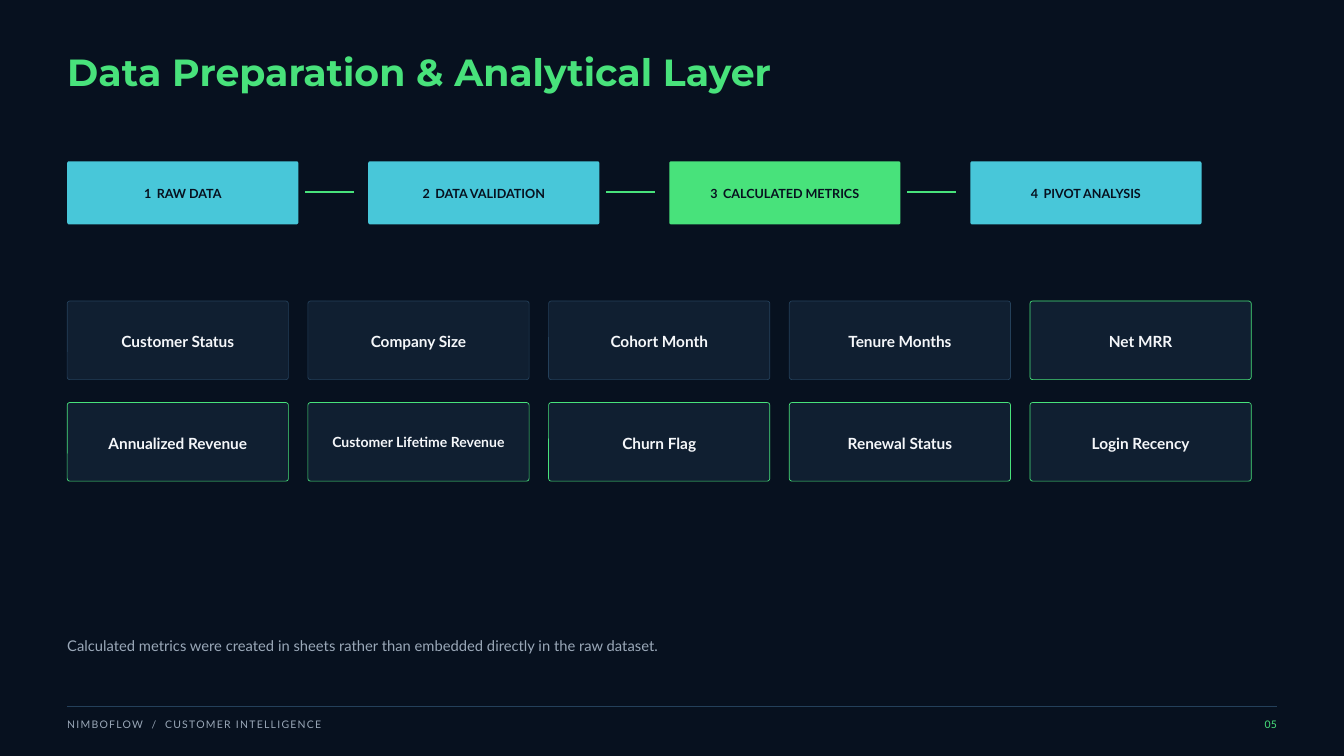
"""Build the data preparation slide: process steps above a grid of metric cards."""
from dataclasses import dataclass

import lxml.etree
import pptx
import pptx.dml.color
import pptx.enum.shapes
import pptx.enum.text
import pptx.oxml.ns
import pptx.util

Inches = pptx.util.Inches
Pt = pptx.util.Pt
Align = pptx.enum.text.PP_ALIGN
Anchor = pptx.enum.text.MSO_ANCHOR


@dataclass(frozen=True)
class Theme:
    """Colours, fonts and type sizes of the slide."""
    background: str = "07111F"
    green: str = "48E27B"
    cyan: str = "48C7D9"
    card: str = "101F31"
    border: str = "24405A"
    white: str = "F5F7FA"
    muted: str = "9AA8B8"
    heading_font: str = "Montserrat"
    body_font: str = "Lato"
    title_size: float = 40.5
    card_size: float = 16.5
    long_card_size: float = 15
    note_size: float = 15.8
    step_size: float = 13.5
    footer_size: float = 11.2


@dataclass(frozen=True)
class Row:
    """A row of equal boxes, in inches, with equal gaps."""
    top: float
    height: float
    span: float
    gap: float
    columns: int
    left: float = 1

    @property
    def width(self):
        """Return the width of one box."""
        return (self.span - self.gap * (self.columns - 1)) / self.columns

    def x(self, column):
        """Return the left edge of a column."""
        return self.left + column * (self.width + self.gap)


THEME = Theme()
MARGIN = 1
SLIDE_WIDTH, SLIDE_HEIGHT = 20, 11.25
STEPS = [("1", "RAW DATA"), ("2", "DATA VALIDATION"),
         ("3", "CALCULATED METRICS"), ("4", "PIVOT ANALYSIS")]
ACTIVE_STEP = 2
METRICS = [
    ["Customer Status", "Company Size", "Cohort Month", "Tenure Months", "Net MRR"],
    ["Annualized Revenue", "Customer Lifetime Revenue", "Churn Flag",
     "Renewal Status", "Login Recency"],
]
PLAIN_METRICS = {"Customer Status", "Company Size", "Cohort Month", "Tenure Months"}
LONG_LABEL = 20


def rgb(value):
    """Turn a hex string into a colour."""
    return pptx.dml.color.RGBColor.from_string(value)


def write(frame, parts, size, color, leading, bold=False, font=THEME.body_font,
          align=Align.LEFT, tracking=0, gap=0):
    """Write one paragraph whose parts are set apart by a widened space."""
    frame.word_wrap = True
    paragraph = frame.paragraphs[0]
    paragraph.alignment = align
    paragraph.line_spacing = Pt(leading)
    paragraph.font.size = Pt(size)
    paragraph.font.name = font
    paragraph.font.bold = bold
    paragraph.font.color.rgb = rgb(color)
    for index, part in enumerate(parts):
        pieces = [(part, tracking)]
        if index:
            pieces.insert(0, (" ", gap))
        for text, spacing in pieces:
            run = paragraph.add_run()
            run.text = text
            if spacing:
                run.font._element.set("spc", str(round(spacing * 100)))


def set_insets(frame, sides=0, top=0, bottom=0):
    """Set the inner margins of a text frame in inches."""
    frame.margin_left = frame.margin_right = Inches(sides)
    frame.margin_top, frame.margin_bottom = Inches(top), Inches(bottom)


def add_text(slide, left, top, width, height, parts, size, color, leading, **style):
    """Add a text box without insets."""
    box = slide.shapes.add_textbox(Inches(left), Inches(top), Inches(width), Inches(height))
    set_insets(box.text_frame)
    write(box.text_frame, parts, size, color, leading, **style)


def add_box(slide, row, column, top, radius, fill, border=None):
    """Add a rounded box in a column of a row and return its shape."""
    shape = slide.shapes.add_shape(
        pptx.enum.shapes.MSO_SHAPE.ROUNDED_RECTANGLE, Inches(row.x(column)),
        Inches(top), Inches(row.width), Inches(row.height))
    shape.adjustments[0] = radius / row.height
    shape.shadow.inherit = False
    shape.fill.solid()
    shape.fill.fore_color.rgb = rgb(fill)
    if border:
        shape.line.color.rgb = rgb(border)
        shape.line.width = Pt(0.75)
    else:
        shape.line.fill.background()
    return shape


def add_line(slide, left, right, y, color, weight):
    """Add a horizontal line."""
    line = slide.shapes.add_connector(
        pptx.enum.shapes.MSO_CONNECTOR.STRAIGHT,
        Inches(left), Inches(y), Inches(right), Inches(y))
    line.line.color.rgb = rgb(color)
    line.line.width = Pt(weight)
    properties = line._element.find(pptx.oxml.ns.qn("p:spPr"))
    lxml.etree.SubElement(properties, pptx.oxml.ns.qn("a:effectLst"))


def add_steps(slide):
    """Add the process steps and the lines between them."""
    row = Row(top=2.4, height=0.94, span=16.88, gap=1.04, columns=len(STEPS))
    for column, parts in enumerate(STEPS):
        fill = THEME.green if column == ACTIVE_STEP else THEME.cyan
        shape = add_box(slide, row, column, row.top, 0.03, fill)
        set_insets(shape.text_frame, 0.06, 0.06, 0.08)
        shape.text_frame.vertical_anchor = Anchor.MIDDLE
        write(shape.text_frame, parts, THEME.step_size, THEME.background, 18.9,
              bold=True, align=Align.CENTER, gap=2.6)
        if column:
            start = row.x(column) - row.gap + 0.1
            add_line(slide, start, start + 0.73, 2.86, THEME.green, 2.25)


def add_metrics(slide):
    """Add the grid of metric cards."""
    row = Row(top=4.48, height=1.17, span=17.62, gap=0.29, columns=len(METRICS[0]))
    for index, labels in enumerate(METRICS):
        for column, label in enumerate(labels):
            border = THEME.border if label in PLAIN_METRICS else THEME.green
            shape = add_box(slide, row, column, row.top + index * 1.51, 0.04,
                            THEME.card, border)
            set_insets(shape.text_frame, 0.2, 0.41)
            shape.text_frame.vertical_anchor = Anchor.TOP
            size = THEME.long_card_size if len(label) > LONG_LABEL else THEME.card_size
            write(shape.text_frame, [label], size, THEME.white, size * 1.4,
                  bold=True, align=Align.CENTER)


def add_footer(slide):
    """Add the rule, the running title and the page number."""
    right = SLIDE_WIDTH - MARGIN
    add_line(slide, MARGIN, right, 10.52, THEME.border, 1)
    add_text(slide, MARGIN, 10.65, 7.29, 0.2,
             ["NIMBOFLOW", "/", "CUSTOMER INTELLIGENCE"],
             THEME.footer_size, THEME.muted, 15.7, tracking=1.4, gap=5)
    add_text(slide, right - 0.98, 10.65, 0.98, 0.2, ["05"],
             THEME.footer_size, THEME.green, 15.7, align=Align.RIGHT)


def main():
    """Build and save the slide."""
    presentation = pptx.Presentation()
    presentation.slide_width = Inches(SLIDE_WIDTH)
    presentation.slide_height = Inches(SLIDE_HEIGHT)
    slide = presentation.slides.add_slide(presentation.slide_layouts[6])
    slide.background.fill.solid()
    slide.background.fill.fore_color.rgb = rgb(THEME.background)
    add_text(slide, MARGIN, 0.79, 14.58, 0.61, ["Data Preparation & Analytical Layer"],
             THEME.title_size, THEME.green, 43.7, bold=True, font=THEME.heading_font)
    add_steps(slide)
    add_metrics(slide)
    add_text(slide, MARGIN, 9.44, 15.1, 0.3,
             ["Calculated metrics were created in sheets rather than embedded directly "
              "in the raw dataset."], THEME.note_size, THEME.muted, 22)
    add_footer(slide)
    presentation.save("out.pptx")


if __name__ == "__main__":
    main()
